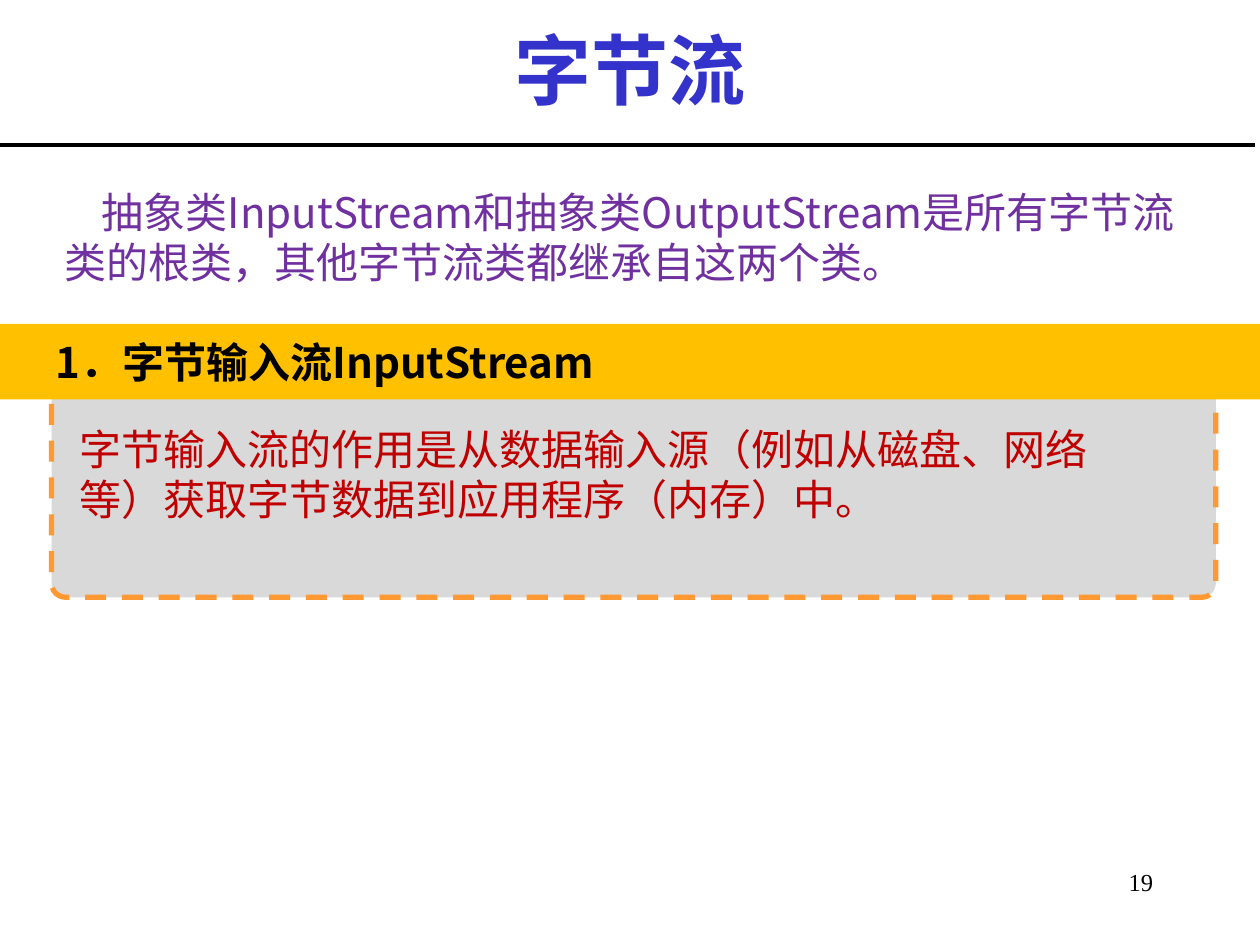
"""Build the slide that introduces byte streams and InputStream."""
import lxml.etree
import pptx
import pptx.dml.color
import pptx.enum.dml
import pptx.enum.shapes
import pptx.enum.text
import pptx.oxml.ns
import pptx.util

Inches = pptx.util.Inches
Align = pptx.enum.text.PP_ALIGN
Shape = pptx.enum.shapes.MSO_SHAPE

THEME = {
    "serif": "Times New Roman", "sans": "Noto Sans CJK SC",
    "title": "3333CC", "text": "000000", "intro": "7030A0", "detail": "C00000",
    "panel": "D9D9D9", "panel_edge": "FF9933", "band": "FFC000",
    "title_size": 44, "body_size": 24, "number_size": 14, "body_line": 28.8,
}

TITLE = "字节流"
TEXTS = [
    {"text": "抽象类InputStream和抽象类OutputStream是所有字节流类的根类，其他字节流类都继承自这两个类。",
     "at": (0.41, 1.43, 9.29, 0.9), "inset": (0.1, 0.05), "color": "intro", "indent": 0.3},
    {"text": "字节输入流的作用是从数据输入源（例如从磁盘、网络等）获取字节数据到应用程序（内存）中。",
     "at": (0.5, 3.29, 8.89, 1.16), "inset": (0.13, 0.07), "color": "detail"},
    {"text": "1．字节输入流InputStream",
     "at": (0.31, 2.6, 9.69, 0.58), "inset": (0.13, 0.07), "color": "text", "bold": True},
    {"text": "19", "at": (8.17, 6.83, 1.08, 0.5), "inset": (0.1, 0.05), "color": "text",
     "font": "serif", "size": "number_size", "align": Align.RIGHT},
]


def rgb(name):
    """Return a theme colour."""
    return pptx.dml.color.RGBColor.from_string(THEME[name])


def place(item, at):
    """Move and size an item in inches."""
    item.left, item.top, item.width, item.height = map(Inches, at)


def style(para, font, size, color, bold, align):
    """Set the type of a whole paragraph."""
    para.alignment = align
    para.font.name = THEME[font]
    para.font.size = pptx.util.Pt(THEME[size])
    para.font.bold = bold
    para.font.color.rgb = rgb(color)
    properties = para.font.fill._xPr
    east_asian = lxml.etree.SubElement(properties, pptx.oxml.ns.qn("a:ea"))
    east_asian.set("typeface", THEME["sans"])


def add_text(page, text, at, inset, color, font="sans", size="body_size",
             bold=False, align=Align.LEFT, indent=0):
    """Add a wrapped text box with one paragraph."""
    box = page.shapes.add_textbox(*map(Inches, at))
    frame = box.text_frame
    frame.word_wrap = True
    frame.margin_left = frame.margin_right = Inches(inset[0])
    frame.margin_top = frame.margin_bottom = Inches(inset[1])
    para = frame.paragraphs[0]
    para.text = text
    if indent:
        para._p.get_or_add_pPr().set("indent", str(Inches(indent)))
    if size == "body_size":
        para.line_spacing = pptx.util.Pt(THEME["body_line"])
    style(para, font, size, color, bold, align)


def add_block(page, kind, at, fill):
    """Add a flat filled shape without an outline."""
    block = page.shapes.add_shape(kind, *map(Inches, at))
    block.shadow.inherit = False
    block.fill.solid()
    block.fill.fore_color.rgb = rgb(fill)
    block.line.fill.background()
    return block


def main():
    """Build and save the deck."""
    deck = pptx.Presentation()
    deck.slide_width, deck.slide_height = Inches(10), Inches(7.5)
    page = deck.slides.add_slide(deck.slide_layouts[5])

    title = page.shapes.title
    place(title, (0.75, 0.09, 8.5, 0.91))
    title.text_frame.text = TITLE
    title.text_frame.vertical_anchor = pptx.enum.text.MSO_ANCHOR.MIDDLE
    style(title.text_frame.paragraphs[0], "serif", "title_size", "title", True, Align.CENTER)

    rule = page.shapes.add_connector(
        pptx.enum.shapes.MSO_CONNECTOR.STRAIGHT, *map(Inches, (-0.04, 1.15, 9.96, 1.15)))
    rule.line.color.rgb = rgb("text")
    rule.line.width = pptx.util.Pt(2.25)
    lxml.etree.SubElement(rule._element.spPr, pptx.oxml.ns.qn("a:effectLst"))

    panel = add_block(page, Shape.ROUNDED_RECTANGLE, (0.41, 2.89, 9.24, 1.85), "panel")
    panel.adjustments[0] = 0.06
    panel.line.color.rgb = rgb("panel_edge")
    panel.line.width = pptx.util.Pt(3)
    panel.line.dash_style = pptx.enum.dml.MSO_LINE.DASH
    add_block(page, Shape.RECTANGLE, (-0.02, 2.57, 10.02, 0.6), "band")

    for entry in TEXTS:
        add_text(page, **entry)
    deck.save("out.pptx")


if __name__ == "__main__":
    main()
